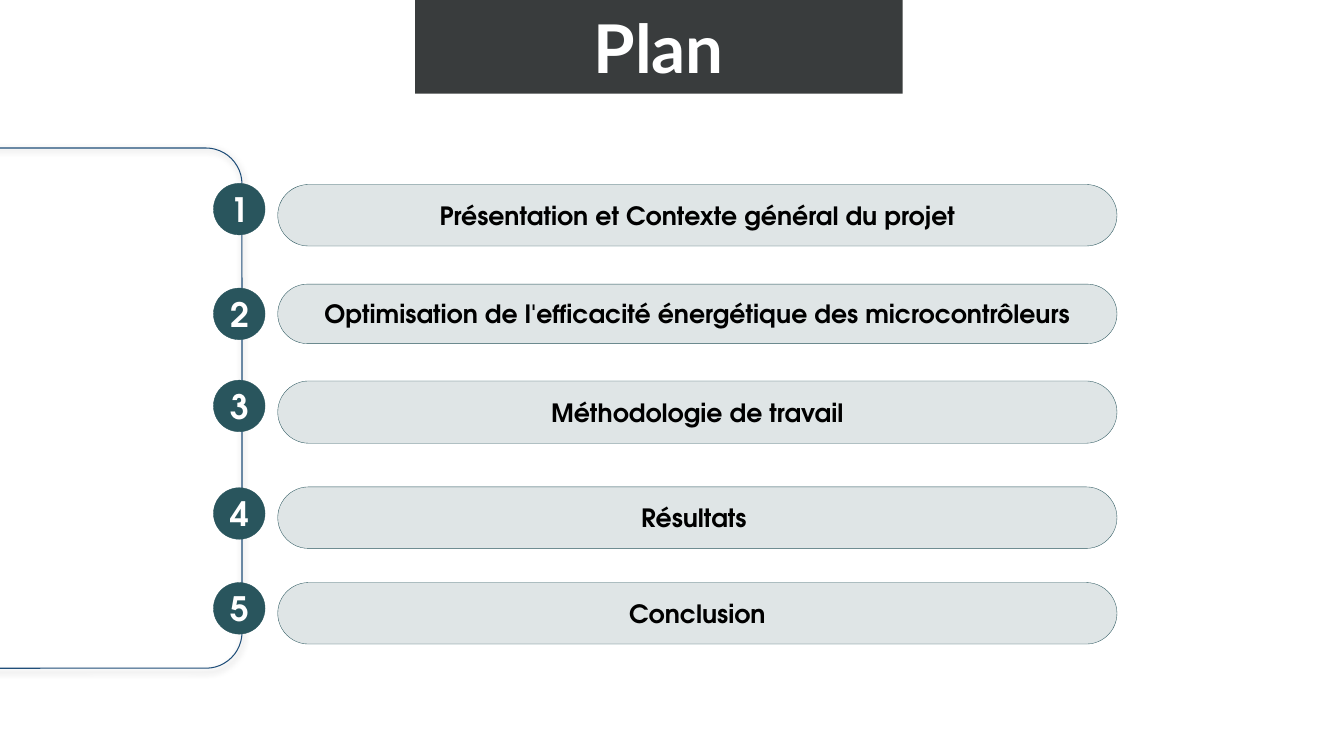
"""Build the plan slide: five numbered steps along a bracket."""
from dataclasses import dataclass

from lxml import etree
from pptx import Presentation
from pptx.dml.color import RGBColor
from pptx.enum import shapes as kinds, text as txt
from pptx.oxml import ns
from pptx.util import Cm, Pt


@dataclass(frozen=True)
class Theme:
    """Colours, fonts and type sizes."""
    teal: str = "29555D"
    navy: str = "1F4E79"
    slate: str = "393C3D"
    white: str = "FFFFFF"
    black: str = "000000"
    head: str = "Lato"
    body: str = "TeX Gyre Adventor"
    title: int = 48
    digit: int = 24
    label: int = 18
    hair: float = 0.25
    rule: float = 0.75


@dataclass(frozen=True)
class Box:
    """A place on the slide in centimetres."""
    left: float
    top: float
    width: float
    height: float


@dataclass(frozen=True)
class Step:
    """One step of the plan, with the tops of its bar and disc."""
    label: str
    top: float
    height: float
    disc: float


THEME = Theme()
ROUND = kinds.MSO_SHAPE.ROUNDED_RECTANGLE
STEPS = [
    Step("Présentation et Contexte général du projet", 4.65, 1.55, 4.62),
    Step("Optimisation de l'efficacité énergétique des microcontrôleurs", 7.16, 1.5, 7.26),
    Step("Méthodologie de travail", 9.6, 1.57, 9.58),
    Step("Résultats ", 12.27, 1.55, 12.29),
    Step("Conclusion", 14.68, 1.55, 14.68),
]


def add_child(parent, tag: str, **attrs: str):
    """Append a DrawingML element and return it."""
    return etree.SubElement(parent, ns.qn(tag), attrs)


def add_shape(slide, kind, box: Box, fill: str = "", line: str = "", weight: float = 0):
    """Draw a flat shape with an optional fill and outline."""
    shape = slide.shapes.add_shape(
        kind, Cm(box.left), Cm(box.top), Cm(box.width), Cm(box.height))
    shape.shadow.inherit = False
    if fill:
        shape.fill.solid()
        shape.fill.fore_color.rgb = RGBColor.from_string(fill)
    else:
        shape.fill.background()
    if line:
        shape.line.color.rgb = RGBColor.from_string(line)
        shape.line.width = Pt(weight)
    else:
        shape.line.fill.background()
    return shape


def set_text(shape, words: str, font: str, size: int, color: str) -> None:
    """Write bold centred text in a shape."""
    frame = shape.text_frame
    frame.text = words
    frame.word_wrap = True
    frame.vertical_anchor = txt.MSO_ANCHOR.MIDDLE
    para = frame.paragraphs[0]
    para.alignment = txt.PP_ALIGN.CENTER
    face = para.runs[0].font
    face.name, face.size, face.bold = font, Pt(size), True
    face.color.rgb = RGBColor.from_string(color)


def add_pill(slide, box: Box):
    """Draw a teal shape with fully rounded ends."""
    pill = add_shape(slide, ROUND, box, THEME.teal, THEME.teal, THEME.hair)
    pill.adjustments[0] = 0.5
    return pill


def add_bar(slide, step: Step) -> None:
    """Draw the pale bar of a step."""
    bar = add_pill(slide, Box(7, step.top, 21.15, step.height))
    tint = bar.fill._xPr.find(ns.qn("a:solidFill"))[0]
    add_child(tint, "a:alpha", val="15000")
    set_text(bar, step.label, THEME.body, THEME.label, THEME.black)


def add_disc(slide, step: Step, digit: int) -> None:
    """Draw the numbered disc of a step."""
    disc = add_pill(slide, Box(5.38, step.disc, 1.3, 1.3))
    set_text(disc, str(digit), THEME.body, THEME.digit, THEME.white)


def add_frame(slide) -> None:
    """Draw the bracket with its soft shadow."""
    frame = add_shape(slide, ROUND, Box(-5.41, 3.73, 11.51, 13.11),
                      line=THEME.navy, weight=THEME.rule)
    frame.adjustments[0] = 0.079
    effects = frame._element.spPr.find(ns.qn("a:effectLst"))
    shade = add_child(effects, "a:outerShdw", blurRad=str(Pt(5)), dist=str(Pt(1.8)),
                      dir="5400000", rotWithShape="0")
    tint = add_child(shade, "a:srgbClr", val=THEME.black)
    add_child(tint, "a:alpha", val="35000")


def main() -> None:
    """Build and save the slide."""
    deck = Presentation()
    deck.slide_width, deck.slide_height = Cm(33.87), Cm(19.05)
    slide = deck.slides.add_slide(deck.slide_layouts[6])
    for step in STEPS:
        add_bar(slide, step)
    add_frame(slide)
    for digit, step in enumerate(STEPS, 1):
        add_disc(slide, step, digit)
    title = add_shape(slide, kinds.MSO_SHAPE.RECTANGLE,
                      Box(10.46, -0.03, 12.29, 2.39), THEME.slate)
    set_text(title, "Plan", THEME.head, THEME.title, THEME.white)
    deck.save("out.pptx")


if __name__ == "__main__":
    main()
